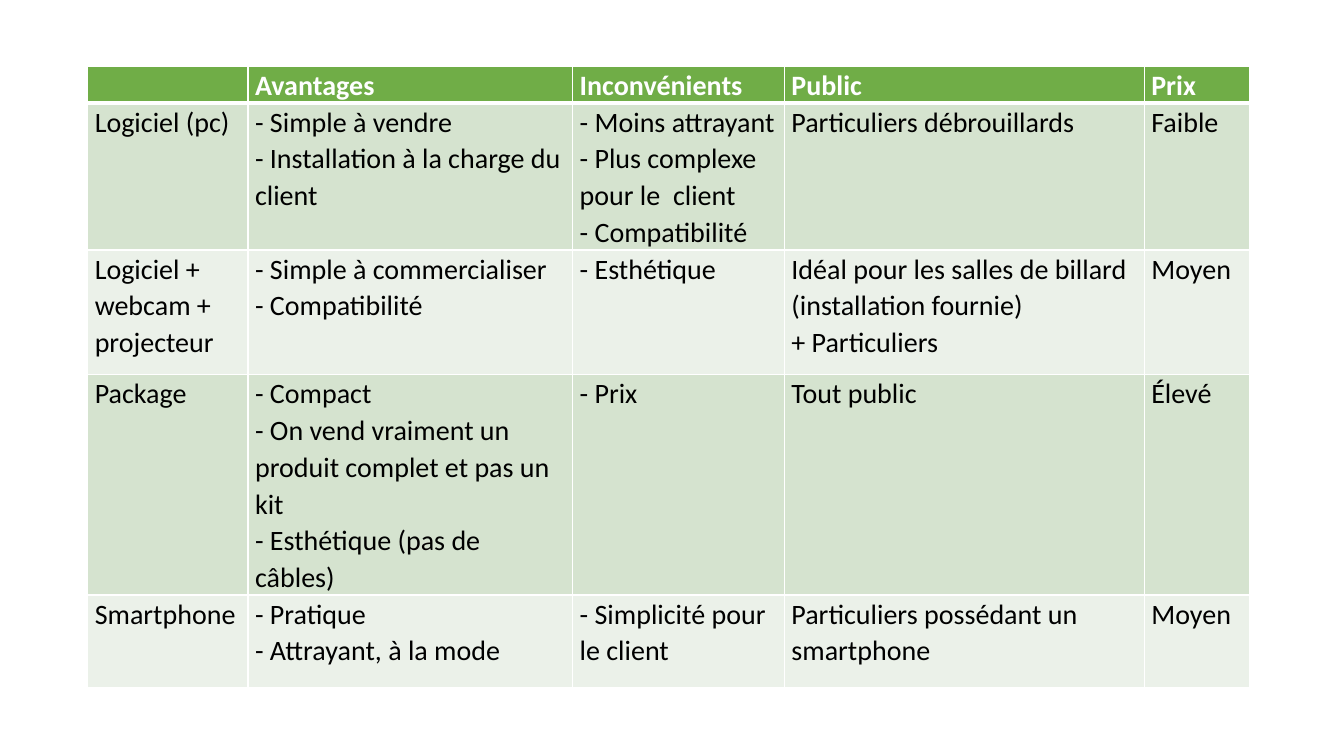
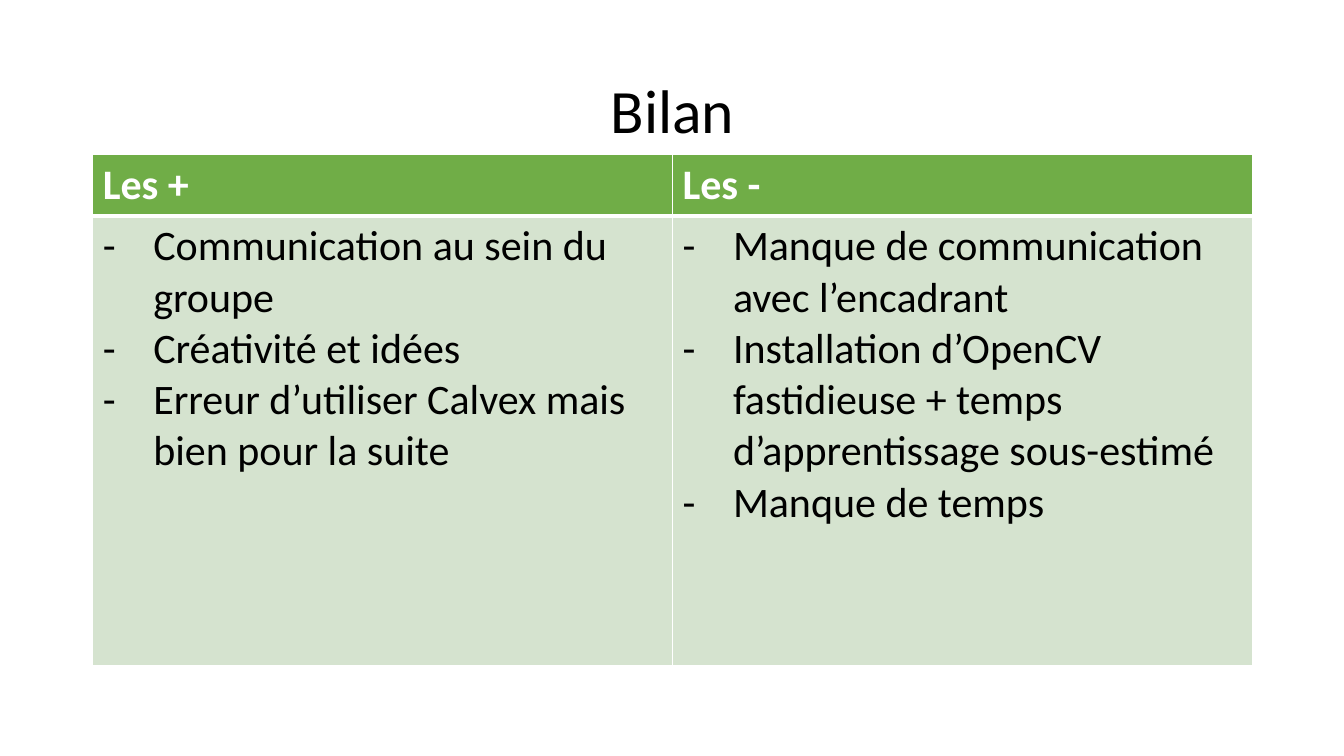
from lxml import etree
from pptx import Presentation, util as u
from pptx.dml.color import RGBColor
from pptx.enum import text
from pptx.oxml import ns

PX = 9144  # 100 px to the inch
FONT = "Calibri"
COLOURS = {"header": "70AD47", "odd": "D5E3CF", "even": "EBF1E9",
           "white": "FFFFFF", "black": "000000"}


def style_para(para, size, colour, bold=False, spacing=1.0):
    para.line_spacing = spacing
    for span in para.runs:
        span.font.name, span.font.size, span.font.bold = FONT, u.Pt(size), bold
        span.font.color.rgb = RGBColor.from_string(COLOURS[colour])


def add_grid(page, left, top, height, widths, heights, rows, size,
             spacing=1.0, margins=None, bullet_indent=0):
    frame = page.shapes.add_table(len(rows), len(widths), left * PX, top * PX,
                                  sum(widths) * PX, height * PX)
    table = frame.table
    for column, width in zip(table.columns, widths):
        column.width = width * PX
    for row, row_height in zip(table.rows, heights):
        row.height = row_height * PX
    frame.height = height * PX

    for r, row in enumerate(rows):
        header = r == 0
        fill = "header" if header else "odd" if r % 2 else "even"
        for c, content in enumerate(row):
            cell = table.cell(r, c)
            if margins:
                cell.margin_left = cell.margin_right = margins[0] * PX
                cell.margin_top = cell.margin_bottom = margins[1] * PX

            # White borders, thick under the header
            weights = {"L": 1, "R": 1, "T": 3 if r == 1 else 1, "B": 3 if header else 1}
            properties = cell._tc.get_or_add_tcPr()
            for side, weight in weights.items():
                line = etree.SubElement(properties, ns.qn(f"a:ln{side}"), w=str(u.Pt(weight)))
                solid = etree.SubElement(line, ns.qn("a:solidFill"))
                etree.SubElement(solid, ns.qn("a:srgbClr"), val=COLOURS["white"])
            cell.fill.solid()
            cell.fill.fore_color.rgb = RGBColor.from_string(COLOURS[fill])

            # Cell text, one paragraph a line
            cell.text_frame.text = content
            for para in cell.text_frame.paragraphs:
                style_para(para, size, "white" if header else "black", header, spacing)
                if bullet_indent and not header:
                    settings = para._p.get_or_add_pPr()
                    settings.set("marL", str(bullet_indent * PX))
                    settings.set("indent", str(-bullet_indent * PX))
                    etree.SubElement(settings, ns.qn("a:buFont"), typeface=FONT)
                    etree.SubElement(settings, ns.qn("a:buChar"), char="-")


deck = Presentation()
deck.slide_width, deck.slide_height = 1333 * PX, 750 * PX
blank = deck.slide_layouts[6]

# Slide 1: comparison of the offers
page = deck.slides.add_slide(blank)
offers = [
    ["", "Avantages", "Inconvénients", "Public", "Prix"],
    ["Logiciel (pc)",
     "- Simple à vendre\n- Installation à la charge du client",
     "- Moins attrayant\n- Plus complexe pour le  client\n- Compatibilité",
     "Particuliers débrouillards", "Faible"],
    ["Logiciel + webcam + projecteur",
     "- Simple à commercialiser\n- Compatibilité",
     "- Esthétique",
     "Idéal pour les salles de billard (installation fournie)\n+ Particuliers", "Moyen"],
    ["Package",
     "- Compact\n- On vend vraiment un produit complet et pas un kit\n"
     "- Esthétique (pas de câbles)",
     "- Prix", "Tout public", "Élevé"],
    ["Smartphone",
     "- Pratique\n- Attrayant, à la mode",
     "- Simplicité pour le client",
     "Particuliers possédant un smartphone", "Moyen"],
]
add_grid(page, 87, 66, 610, [159, 322, 210, 357, 104], [33, 144, 124, 187, 92],
         offers, 20, spacing=1.07, margins=(7, 0))

# Slide 2: title
page = deck.slides.add_slide(blank)
box = page.shapes.add_textbox(92 * PX, 40 * PX, 1150 * PX, 145 * PX)
box.text_frame.word_wrap = True
box.text_frame.vertical_anchor = text.MSO_ANCHOR.MIDDLE
box.text_frame.text = "Bilan"
title = box.text_frame.paragraphs[0]
title.alignment = text.PP_ALIGN.CENTER
style_para(title, 44, "black", spacing=0.9)

# Slide 2: strengths and weaknesses
balance = [
    ["Les +", "Les -"],
    ["Communication au sein du groupe\nCréativité et idées\n"
     "Erreur d’utiliser Calvex mais bien pour la suite",
     "Manque de communication avec l’encadrant\n"
     "Installation d’OpenCV fastidieuse + temps d’apprentissage sous-estimé\n"
     "Manque de temps"],
]
add_grid(page, 92, 153, 507, [575, 575], [61, 446], balance, 30, bullet_indent=50)

deck.save("out.pptx")
